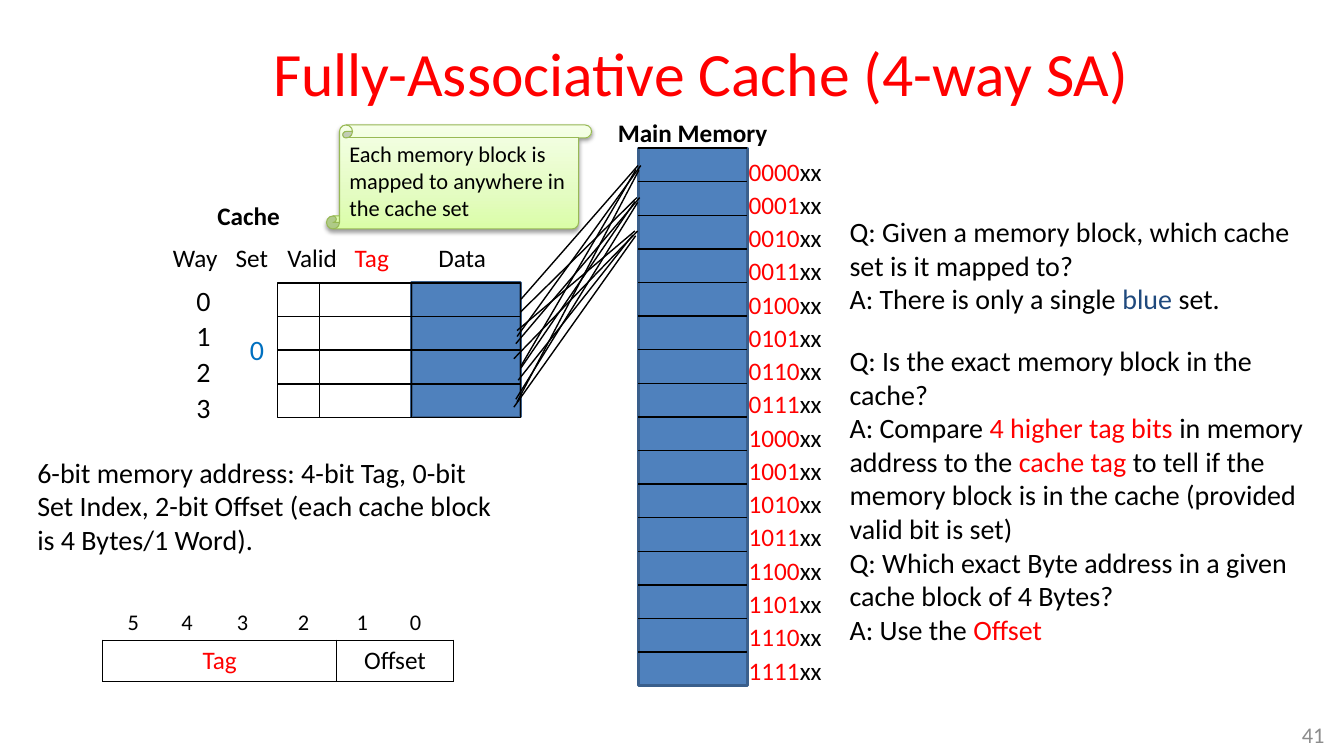
from lxml.etree import SubElement
from pptx import Presentation
from pptx.dml.color import RGBColor
from pptx.enum.shapes import MSO_CONNECTOR, MSO_SHAPE
from pptx.enum.text import MSO_ANCHOR, MSO_AUTO_SIZE, PP_ALIGN
from pptx.oxml import parse_xml
from pptx.oxml.ns import nsdecls, qn
from pptx.util import Cm, Pt

COLOURS = {
    "black": "000000", "red": "FF0000", "navy": "1F497D", "blue": "0070C0",
    "block": "4F81BD", "block edge": "3A5F8C", "scroll edge": "98B955", "grey": "8C8C8C",
}


def write(frame, paragraphs, size, bold=False, align=PP_ALIGN.LEFT, spacing=1.0):
    """Fill a text frame; each paragraph is a list of (text, colour name)."""
    for index, runs in enumerate(paragraphs):
        paragraph = frame.paragraphs[0] if index == 0 else frame.add_paragraph()
        paragraph.alignment = align
        paragraph.line_spacing = spacing
        for text, colour in runs:
            run = paragraph.add_run()
            run.text = text
            for name, value in {"name": "Calibri", "size": Pt(size), "bold": bold}.items():
                setattr(run.font, name, value)
            run.font.color.rgb = RGBColor.from_string(COLOURS[colour])


def draw_line(x1, y1, x2, y2):
    connector = slide.shapes.add_connector(
        MSO_CONNECTOR.STRAIGHT, Cm(x1), Cm(y1), Cm(x2), Cm(y2))
    connector.line.color.rgb = RGBColor.from_string(COLOURS["black"])
    connector.line.width = Pt(1)
    SubElement(connector._element.spPr, qn("a:effectLst"))


presentation = Presentation()
presentation.slide_width, presentation.slide_height = Cm(33.87), Cm(19.05)
slide = presentation.slides.add_slide(presentation.slide_layouts[5])

# Title
title = slide.shapes.title
title_format = {"left": Cm(5.51), "top": Cm(0.76), "width": Cm(24.33), "height": Cm(2.41)}
for name, value in title_format.items():
    setattr(title, name, value)
title.text_frame.auto_size = MSO_AUTO_SIZE.NONE
title.text_frame.vertical_anchor = MSO_ANCHOR.MIDDLE
write(title.text_frame, [[("Fully-Associative Cache (4-way SA)", "red")]], 44,
      align=PP_ALIGN.CENTER, spacing=0.85)

# Memory and cache columns: left, top, width, height, fill, edge, edge width
memory_left, memory_top, memory_width, memory_height = 16.09, 3.73, 2.74, 13.55
cache_top, cache_height = 7.13, 3.39
cache_columns = [(6.99, 1.06), (8.05, 2.32), (10.37, 2.75)]  # valid, tag, data
boxes = [
    (memory_left, memory_top, memory_width, memory_height, "block", "block edge", 2),
    (10.37, 7.12, 2.75, cache_height, "block", "block edge", 2),
]
boxes += [(left, cache_top, width, cache_height, None, "black", 1)
          for left, width in cache_columns]
for left, top, width, height, fill, edge, edge_width in boxes:
    box = slide.shapes.add_shape(
        MSO_SHAPE.RECTANGLE, Cm(left), Cm(top), Cm(width), Cm(height))
    box.shadow.inherit = False
    if fill:
        box.fill.solid()
        box.fill.fore_color.rgb = RGBColor.from_string(COLOURS[fill])
    else:
        box.fill.background()
    box.line.color.rgb = RGBColor.from_string(COLOURS[edge])
    box.line.width = Pt(edge_width)

# Block and way separators
for block in range(16):
    y = memory_top + block * memory_height / 16
    draw_line(memory_left, y, memory_left + memory_width, y)
for left, width in cache_columns:
    for way in range(1, 4):
        y = cache_top + way * cache_height / 4
        draw_line(left, y, left + width, y)

# Text boxes: left, top, width, height, paragraphs, size, bold, wrap, line spacing
addresses = [[(f"{block:04b}", "red"), ("xx", "black")] for block in range(16)]
mapping_answer = [
    [("Q: Given a memory block, which cache set is it mapped to?", "black")],
    [("A: There is only a single ", "black"), ("blue", "navy"), (" set.", "black")],
]
lookup_answers = [
    [("Q: Is the exact memory block in the cache?", "black")],
    [("A: Compare ", "black"), ("4 higher tag bits ", "red"),
     ("in memory address to the ", "black"), ("cache tag ", "red"),
     ("to tell if the memory block is in the cache (provided valid bit is set)", "black")],
    [("Q: Which exact Byte address in a given cache block of 4 Bytes?", "black")],
    [("A: Use the ", "black"), ("Offset", "red")],
]
address_format = [[("6-bit memory address: 4-bit Tag, 0-bit Set Index, 2-bit Offset "
                    "(each cache block is 4 Bytes/1 Word).", "black")]]
texts = [
    (15.32, 2.84, 4.32, 1.02, [[("Main Memory", "black")]], 18, True, False, 1.0),
    (5.23, 4.93, 2.11, 1.02, [[("Cache", "black")]], 18, True, False, 1.0),
    (18.62, 3.73, 2.74, 13.79, addresses, 18, False, True, 1.1),
    (21.16, 5.28, 12.5, 2.82, mapping_answer, 20, False, True, 1.0),
    (21.16, 8.53, 12.09, 7.95, lookup_answers, 20, False, True, 1.0),
    (0.69, 11.35, 12.09, 2.82, address_format, 20, False, True, 1.0),
    (6.05, 8.26, 0.86, 1.12, [[("0", "blue")]], 20, False, False, 1.0),
]
headings = [("Way", 4.11, 1.65, "black"), ("Set", 5.69, 1.35, "black"),
            ("Valid", 6.99, 1.78, "black"), ("Tag", 8.69, 1.37, "red"),
            ("Data", 10.8, 1.73, "black")]
texts += [(left, 5.97, width, 1.02, [[(text, colour)]], 18, False, False, 1.0)
          for text, left, width, colour in headings]
texts += [(4.7, 7.01 + way * 0.9, 0.86, 1.12, [[(str(way), "black")]], 20, False, False, 1.0)
          for way in range(4)]
bit_lefts = {5: 2.97, 4: 4.32, 3: 5.72, 2: 7.26, 1: 8.74, 0: 10.08}
texts += [(left, 15.19, 0.75, 0.94, [[(str(bit), "black")]], 16, False, False, 1.0)
          for bit, left in bit_lefts.items()]
for left, top, width, height, paragraphs, size, bold, wrap, spacing in texts:
    frame = slide.shapes.add_textbox(Cm(left), Cm(top), Cm(width), Cm(height)).text_frame
    frame.word_wrap = wrap
    frame.auto_size = MSO_AUTO_SIZE.SHAPE_TO_FIT_TEXT
    write(frame, paragraphs, size, bold, spacing=spacing)

# Scroll note with gradient and soft shadow
scroll = slide.shapes.add_shape(
    MSO_SHAPE.VERTICAL_SCROLL, Cm(8.23), Cm(3.15), Cm(6.68), Cm(2.62))
scroll.line.color.rgb = RGBColor.from_string(COLOURS["scroll edge"])
scroll.line.width = Pt(0.75)
stops = "".join(f'<a:gs pos="{position}"><a:srgbClr val="{colour}"/></a:gs>'
                for position, colour in [(0, "DAFDA7"), (35000, "E4FCC2"), (100000, "F5FFE7")])
scroll_properties = scroll._element.spPr
scroll_properties.find(qn("a:prstGeom")).addnext(parse_xml(
    f'<a:gradFill {nsdecls("a")} rotWithShape="1"><a:gsLst>{stops}</a:gsLst>'
    '<a:lin ang="16200000" scaled="1"/></a:gradFill>'))
scroll_properties.append(parse_xml(
    f'<a:effectLst {nsdecls("a")}><a:outerShdw blurRad="40000" dist="20000" dir="5400000" '
    'rotWithShape="0"><a:srgbClr val="000000"><a:alpha val="38000"/></a:srgbClr>'
    '</a:outerShdw></a:effectLst>'))
scroll.text_frame.word_wrap = True
scroll.text_frame.vertical_anchor = MSO_ANCHOR.MIDDLE
write(scroll.text_frame,
      [[("Each memory block is mapped to anywhere in the cache set", "black")]], 16)

# Mapping fans: memory tip, then the four cache ends
tip_offsets = [(0, 0), (-0.05, 0.1), (0.07, 0), (0.02, 0.12)]
fans = [
    (16.08, 4.17, [(13.13, 7.54), (13.13, 9.22), (13.03, 8.48), (13.03, 10.13)]),
    (16.05, 4.98, [(13.11, 7.87), (13.13, 9.27), (13.0, 8.66), (13.0, 10.06)]),
    (16.0, 5.82, [(13.03, 8.33), (13.06, 9.58), (12.95, 9.04), (12.95, 10.26)]),
]
for tip_x, tip_y, ends in fans:
    for (shift_x, shift_y), (end_x, end_y) in zip(tip_offsets, ends):
        draw_line(tip_x + shift_x, tip_y + shift_y, end_x, end_y)

# Address field table
table = slide.shapes.add_table(1, 2, Cm(2.59), Cm(16.13), Cm(8.84), Cm(1.04)).table
table.first_row = table.horz_banding = False
fields = [("Tag", "red", 5.89), ("Offset", "black", 2.95)]
for index, (text, colour, width) in enumerate(fields):
    table.columns[index].width = Cm(width)
    cell = table.cell(0, index)
    write(cell.text_frame, [[(text, colour)]], 18, align=PP_ALIGN.CENTER)
    cell_properties = cell._tc.get_or_add_tcPr()
    for side in ("lnL", "lnR", "lnT", "lnB"):
        cell_properties.append(parse_xml(
            f'<a:{side} {nsdecls("a")} w="12700"><a:solidFill>'
            f'<a:srgbClr val="{COLOURS["black"]}"/></a:solidFill></a:{side}>'))
    cell.fill.background()

# Slide number
number = slide.shapes.add_textbox(Cm(31.93), Cm(17.98), Cm(1.7), Cm(1.07)).text_frame
number.word_wrap = True
number.vertical_anchor = MSO_ANCHOR.MIDDLE
write(number, [[("41", "grey")]], 16, align=PP_ALIGN.RIGHT)

presentation.save("out.pptx")
